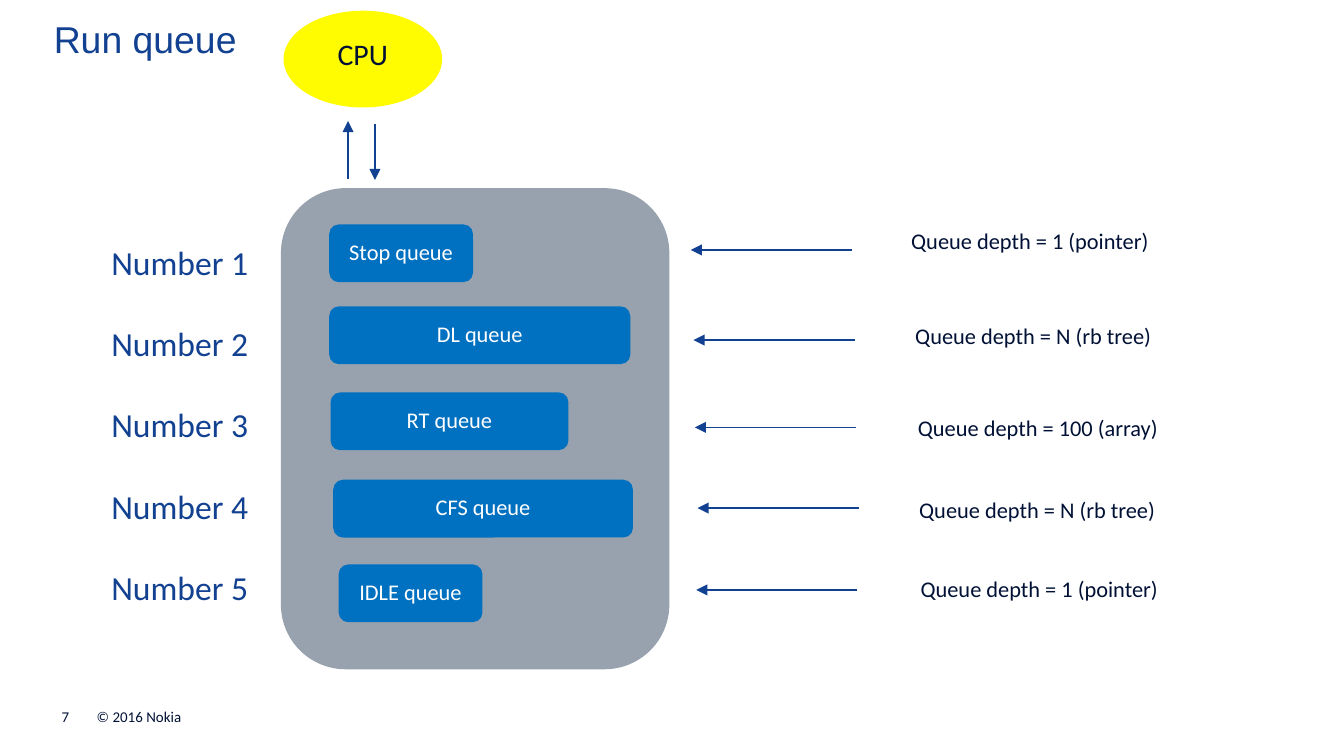
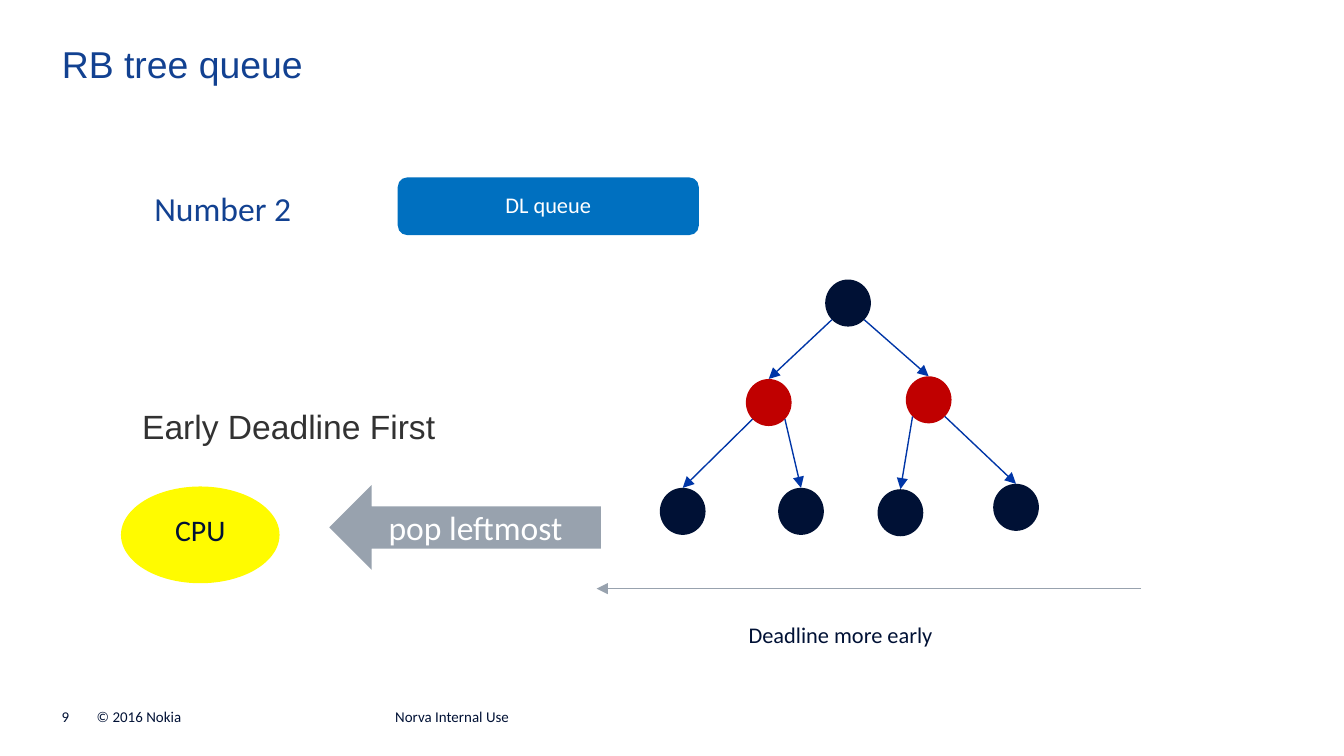
from lxml.etree import SubElement
from pptx import Presentation
from pptx.dml.color import RGBColor
from pptx.enum.shapes import MSO_CONNECTOR, MSO_SHAPE
from pptx.enum.text import MSO_ANCHOR, MSO_AUTO_SIZE, PP_ALIGN
from pptx.oxml.ns import qn
from pptx.util import Inches, Pt

NAVY = RGBColor(0x00, 0x11, 0x35)
BLUE = RGBColor(0x12, 0x41, 0x91)
EDGE = RGBColor(0x00, 0x36, 0xA7)
QUEUE = RGBColor(0x00, 0x70, 0xC0)
GREY = RGBColor(0x98, 0xA2, 0xAE)
DARK = RGBColor(0x32, 0x32, 0x32)
YELLOW = RGBColor(0xFF, 0xFB, 0x00)
RED = RGBColor(0xC0, 0x00, 0x00)
WHITE = RGBColor(0xFF, 0xFF, 0xFF)

TITLE = {"name": "Arial", "size": Pt(20)}
HEAD = {"name": "Arial", "size": Pt(18)}
RANK = {"name": "Calibri", "size": Pt(18)}
CPU = {"name": "Calibri", "size": Pt(16)}
LABEL = {"name": "Calibri", "size": Pt(12)}
FOOT = {"name": "Calibri", "size": Pt(8)}

# insets of a text frame: left and right, top and bottom
EVEN = (0.08, 0.08)
WIDE = (0.1, 0.05)
NONE = (0, 0)
NODE_W, NODE_H = 0.34, 0.35
DIAG = 0.5 ** 0.5 / 2  # share of a node's size from its centre to its 45° point


def box(left, top, width, height):
    return [Inches(v) for v in (left, top, width, height)]


def write(frame, lines, style, color, pad=EVEN, align=PP_ALIGN.LEFT,
          anchor=MSO_ANCHOR.TOP, wrap=True, gap=0):
    """Fill a text frame, one paragraph a line, with gap points between them."""
    frame.word_wrap = wrap
    frame.vertical_anchor = anchor
    frame.margin_left = frame.margin_right = Inches(pad[0])
    frame.margin_top = frame.margin_bottom = Inches(pad[1])
    frame.text = "\n".join(lines)
    for i, para in enumerate(frame.paragraphs):
        para.alignment = align
        para.space_before = Pt(gap if i else 0)
        for key, value in style.items():
            setattr(para.font, key, value)
        para.font.color.rgb = color


def add_text(slide, place, lines, style, color, **opts):
    frame = slide.shapes.add_textbox(*box(*place)).text_frame
    write(frame, lines, style, color, **opts)
    frame.auto_size = MSO_AUTO_SIZE.SHAPE_TO_FIT_TEXT


def add_shape(slide, kind, place, fill):
    shape = slide.shapes.add_shape(kind, *box(*place))
    shape.shadow.inherit = False
    shape.fill.solid()
    shape.fill.fore_color.rgb = fill
    shape.line.fill.background()
    return shape


def add_arrow(slide, start, end, color):
    ends = [Inches(v) for v in (*start, *end)]
    line = slide.shapes.add_connector(MSO_CONNECTOR.STRAIGHT, *ends)
    line.line.color.rgb = color
    line.line.width = Pt(0.75)
    SubElement(line.line._get_or_add_ln(), qn("a:tailEnd"), type="triangle")
    SubElement(line._element.spPr, qn("a:effectLst"))
    return line


def add_slide(deck, title, left, top, number):
    slide = deck.slides.add_slide(deck.slide_layouts[5])
    head = slide.shapes.title
    head.left, head.top, head.width, head.height = box(left, top, 9.09, 0.34)
    write(head.text_frame, [title], TITLE, BLUE, pad=NONE)
    add_foot(slide, 0.72, 1.97, "© 2016 Nokia")
    add_foot(slide, 0.46, 0.16, number)
    return slide


def add_foot(slide, left, width, text):
    add_text(slide, (left, 5.27, width, 0.13), [text], FOOT, NAVY,
             pad=NONE, anchor=MSO_ANCHOR.BOTTOM)


def add_cpu(slide, left, top):
    oval = add_shape(slide, MSO_SHAPE.OVAL, (left, top, 1.18, 0.72), YELLOW)
    write(oval.text_frame, ["CPU"], CPU, NAVY, align=PP_ALIGN.CENTER)


def add_queue(slide, name, left, top, width):
    bar = add_shape(slide, MSO_SHAPE.ROUNDED_RECTANGLE,
                    (left, top, width, 0.43), QUEUE)
    write(bar.text_frame, [name + " queue"], LABEL, WHITE,
          align=PP_ALIGN.CENTER)


def add_ranks(slide, left, top, height, ranks):
    add_text(slide, (left, top, 1.32, height), [f"Number {n}" for n in ranks],
             RANK, BLUE, pad=WIDE, wrap=False, gap=21.9)


def add_note(slide, left, top, width, text):
    add_text(slide, (left, top, width, 0.36), [text], LABEL, NAVY)


def add_node(slide, left, top, color):
    return add_shape(slide, MSO_SHAPE.OVAL, (left, top, NODE_W, NODE_H), color)


def add_tree(slide):
    """Draw the nodes level by level; node i hangs from node (i - 1) // 2."""
    spots = [(6.14, 2.08), (5.55, 2.82), (6.74, 2.8),
             (4.91, 3.63), (5.79, 3.63), (6.53, 3.64), (7.39, 3.6)]
    nodes = [add_node(slide, x, y, RED if i in (1, 2) else NAVY)
             for i, (x, y) in enumerate(spots)]
    for i, (x, y) in enumerate(spots[1:], 1):
        left, top = spots[(i - 1) // 2]
        side = -1 if i % 2 else 1
        start = (left + NODE_W * (0.5 + side * DIAG),
                 top + NODE_H * (0.5 + DIAG))
        edge = add_arrow(slide, start, (x + NODE_W / 2, y), EDGE)
        edge.end_connect(nodes[i], 0)


def run_queue(deck):
    slide = add_slide(deck, "Run queue", 0.4, 0.12, "7")
    add_cpu(slide, 2.11, 0.08)
    add_shape(slide, MSO_SHAPE.ROUNDED_RECTANGLE, (2.09, 1.4, 2.89, 3.58), GREY)
    add_arrow(slide, (2.59, 1.33), (2.59, 0.9), BLUE)
    add_arrow(slide, (2.79, 0.92), (2.79, 1.34), BLUE)
    # queue: name, left, top, width; arrow: tip, y; note: left, top, width, depth
    rows = [
        (("Stop", 2.45, 1.67, 1.07), (5.14, 1.86), (6.7, 1.61, 2.35, "1 (pointer)")),
        (("DL", 2.45, 2.28, 2.24), (5.16, 2.53), (6.73, 2.32, 2.25, "N (rb tree)")),
        (("RT", 2.46, 2.92, 1.77), (5.17, 3.18), (6.75, 3, 2.25, "100 (array)")),
        (("CFS", 2.48, 3.57, 2.23), (5.19, 3.78), (6.76, 3.61, 2.36, "N (rb tree)")),
        (("IDLE", 2.52, 4.2, 1.07), (5.18, 4.39), (6.77, 4.2, 2.36, "1 (pointer)")),
    ]
    for queue, (tip, y), (*place, depth) in rows:
        add_queue(slide, *queue)
        add_arrow(slide, (tip + 1.2, y), (tip, y), BLUE)
        add_note(slide, *place, "Queue depth = " + depth)
    add_ranks(slide, 0.73, 1.75, 3.13, range(1, 6))


def tree_queue(deck):
    slide = add_slide(deck, "RB tree queue", 0.46, 0.31, "9")
    add_foot(slide, 2.94, 2.82, "Norva Internal Use")
    add_queue(slide, "DL", 2.96, 1.32, 2.24)
    add_ranks(slide, 1.05, 1.35, 0.4, [2])
    add_tree(slide)
    add_text(slide, (0.96, 2.97, 2.4, 0.4), ["Early Deadline First"],
             HEAD, DARK, pad=WIDE, wrap=False)
    add_arrow(slide, (8.49, 4.38), (4.44, 4.38), GREY)
    add_note(slide, 5.49, 4.54, 1.81, "Deadline more early")
    add_cpu(slide, 0.9, 3.62)
    pop = add_shape(slide, MSO_SHAPE.LEFT_ARROW, (2.45, 3.61, 2.02, 0.63), GREY)
    write(pop.text_frame, ["pop leftmost"], RANK, WHITE, pad=WIDE,
          align=PP_ALIGN.CENTER, anchor=MSO_ANCHOR.MIDDLE)


def main():
    deck = Presentation()
    deck.slide_width = Inches(10)
    deck.slide_height = Inches(10 * 9 / 16)
    run_queue(deck)
    tree_queue(deck)
    deck.save("out.pptx")


if __name__ == "__main__":
    main()
